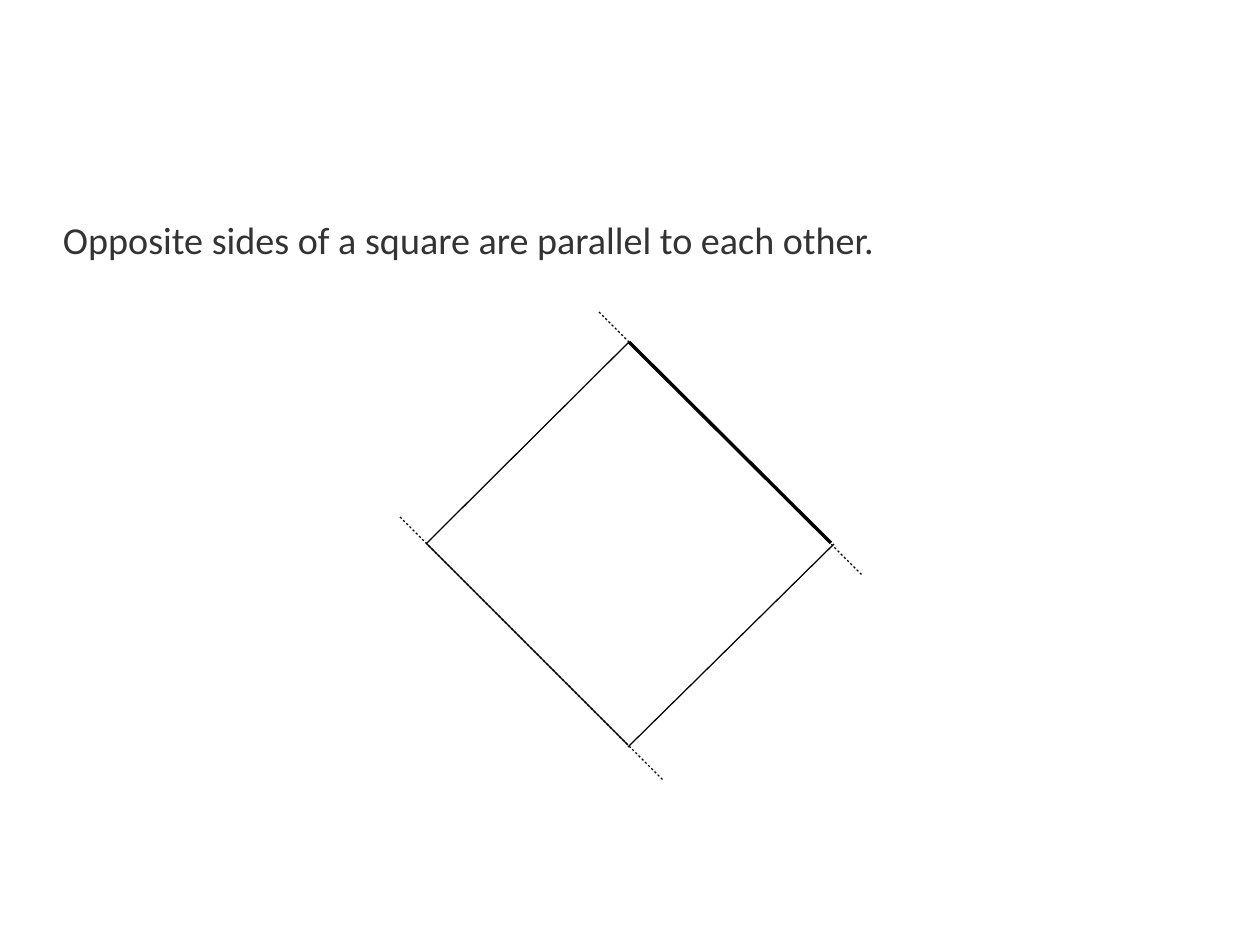
from typing import NamedTuple

from lxml import etree
from pptx import Presentation
from pptx.dml.color import RGBColor
from pptx.enum.shapes import MSO_CONNECTOR
from pptx.enum.text import MSO_ANCHOR
from pptx.oxml.ns import qn
from pptx.shapes.connector import Connector
from pptx.slide import Slide
from pptx.util import Pt

EMU_PER_PX = 8000
SLIDE_WIDTH, SLIDE_HEIGHT = 1260, 945
BLANK_LAYOUT = 6
STRAIGHT = MSO_CONNECTOR.STRAIGHT
TOP = MSO_ANCHOR.TOP

COLORS = {"background": "FFFFFF", "line": "000000", "text": "333333"}
FONT = "Calibri"
STATEMENT = "Opposite sides of a square are parallel to each other."


class Segment(NamedTuple):
    start: tuple[int, int]
    end: tuple[int, int]
    weight: float
    dotted: bool = False


SQUARE_SIDES = [
    Segment((629, 342), (427, 543), 0.79),
    Segment((628, 745), (426, 543), 0.79),
    Segment((834, 544), (628, 747), 0.79),
    Segment((831, 543), (629, 342), 2.15),
]
PARALLEL_LINES = [
    Segment((400, 517), (663, 780), 0.71, dotted=True),
    Segment((599, 312), (862, 575), 0.71, dotted=True),
]


def px(length: int) -> int:
    return length * EMU_PER_PX


def color(name: str) -> RGBColor:
    return RGBColor.from_string(COLORS[name])


def make_dotted(connector: Connector) -> None:
    """Set dashes and gaps of twice the line width."""
    line = connector.line._get_or_add_ln()
    dashes = etree.SubElement(line, qn("a:custDash"))
    etree.SubElement(dashes, qn("a:ds"), d="200000", sp="200000")


def draw_segment(slide: Slide, segment: Segment) -> None:
    connector = slide.shapes.add_connector(
        STRAIGHT, *map(px, segment.start), *map(px, segment.end)
    )
    connector.line.color.rgb = color("line")
    connector.line.width = Pt(segment.weight)
    if segment.dotted:
        make_dotted(connector)
    etree.SubElement(connector._element.spPr, qn("a:effectLst"))


def add_statement(slide: Slide) -> None:
    text_box = slide.shapes.add_textbox(px(63), px(222), px(1134), px(624))
    frame = text_box.text_frame
    frame.word_wrap = True
    frame.vertical_anchor = TOP
    frame.margin_left = frame.margin_right = 0
    frame.margin_top = frame.margin_bottom = 0
    paragraph = frame.paragraphs[0]
    paragraph.line_spacing = 0.9
    paragraph.space_after = Pt(14.1)
    run = paragraph.add_run()
    run.text = STATEMENT
    run.font.name = FONT
    run.font.size = Pt(24)
    run.font.color.rgb = color("text")


def main() -> None:
    presentation = Presentation()
    presentation.slide_width = px(SLIDE_WIDTH)
    presentation.slide_height = px(SLIDE_HEIGHT)
    slide = presentation.slides.add_slide(presentation.slide_layouts[BLANK_LAYOUT])
    slide.background.fill.solid()
    slide.background.fill.fore_color.rgb = color("background")
    for segment in SQUARE_SIDES + PARALLEL_LINES:
        draw_segment(slide, segment)
    add_statement(slide)
    presentation.save("out.pptx")


if __name__ == "__main__":
    main()
